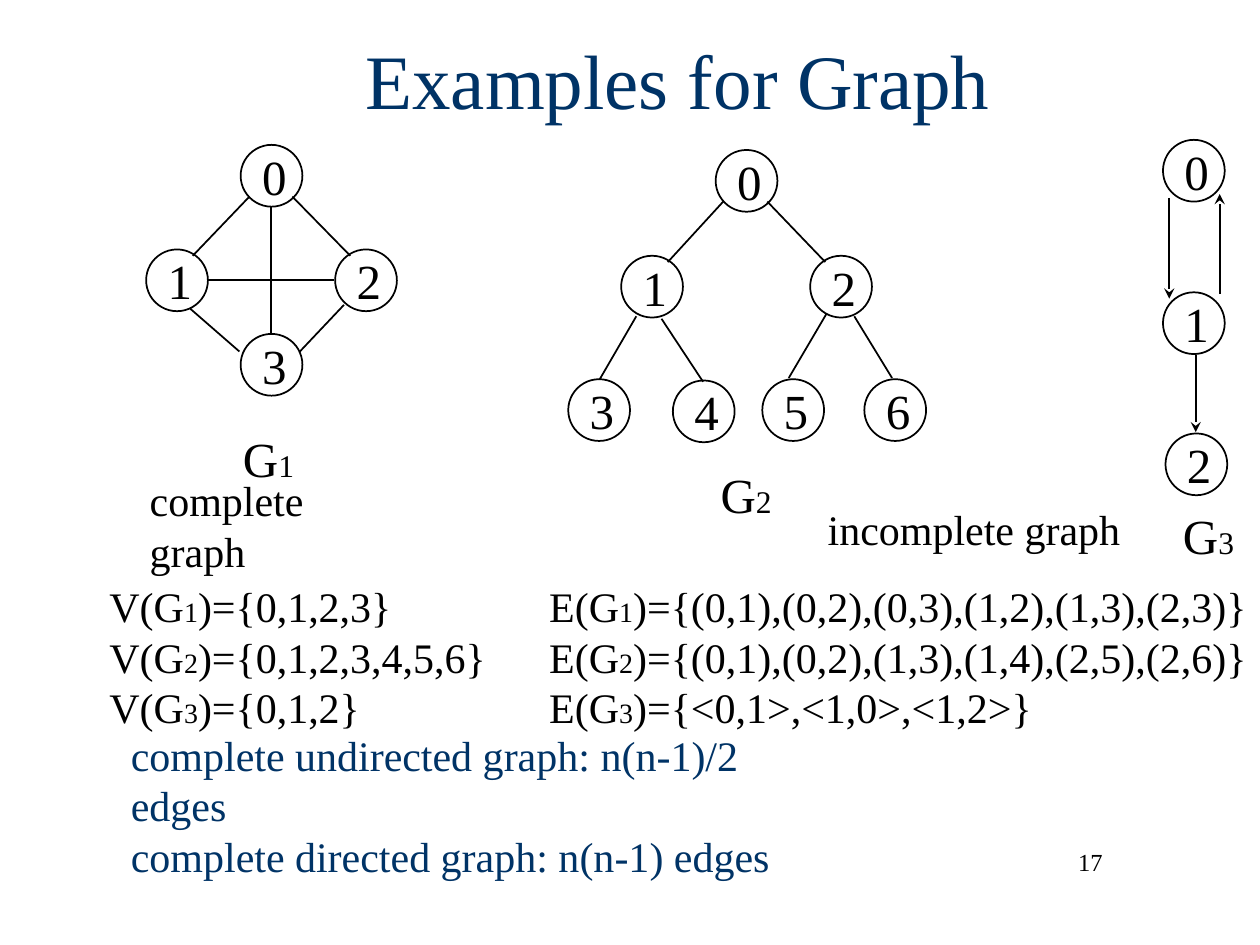
from lxml.etree import SubElement
from pptx import Presentation
from pptx.dml.color import RGBColor
from pptx.enum.shapes import MSO_CONNECTOR, MSO_SHAPE
from pptx.enum.text import MSO_ANCHOR, PP_ALIGN
from pptx.oxml.ns import qn
from pptx.util import Inches, Pt

COLORS = {"ink": "000000", "navy": "003366", "paper": "FFFFFF"}
FONT = "Times New Roman"
COLUMNS, ROWS = 100, 75
NODE_SIZE = 4.9


class GraphSlide:
    """Places elements on a grid of COLUMNS by ROWS square cells."""

    def __init__(self, presentation):
        self.slide = presentation.slides.add_slide(presentation.slide_layouts[6])
        self.cell_width = presentation.slide_width / COLUMNS
        self.cell_height = presentation.slide_height / ROWS

    def place(self, column, row):
        return round(column * self.cell_width), round(row * self.cell_height)

    def color(self, name):
        return RGBColor.from_string(COLORS[name])

    def set_lines(self, shape, lines, size, color="ink", small=None, tab=None,
                  align=PP_ALIGN.LEFT, **frame_format):
        """Fill a shape with lines; parts between underscores are set small."""
        frame = shape.text_frame
        for name, value in {"word_wrap": False, **frame_format}.items():
            setattr(frame, name, value)
        for index, line in enumerate(lines):
            paragraph = frame.paragraphs[0] if index == 0 else frame.add_paragraph()
            paragraph.alignment = align
            if tab:
                tabs = SubElement(paragraph._p.get_or_add_pPr(), qn("a:tabLst"))
                SubElement(tabs, qn("a:tab"), pos=str(self.place(tab, 0)[0]), algn="l")
            for part, text in enumerate(line.split("_")):
                if not text:
                    continue
                run = paragraph.add_run()
                run.text = text
                font_format = {"name": FONT, "size": Pt(small if part % 2 else size)}
                for name, value in font_format.items():
                    setattr(run.font, name, value)
                run.font.color.rgb = self.color(color)

    def text(self, column, row, width, height, lines, size, **style):
        box = self.slide.shapes.add_textbox(
            *self.place(column, row), *self.place(width, height))
        self.set_lines(box, lines, size, **style)

    def node(self, column, row, label):
        circle = self.slide.shapes.add_shape(
            MSO_SHAPE.OVAL, *self.place(column, row), *self.place(NODE_SIZE, NODE_SIZE))
        circle.shadow.inherit = False
        circle.fill.solid()
        circle.fill.fore_color.rgb = self.color("paper")
        circle.line.color.rgb = self.color("ink")
        circle.line.width = Pt(1)
        self.set_lines(circle, [label], 28, vertical_anchor=MSO_ANCHOR.MIDDLE)

    def edge(self, start, end, directed):
        connector = self.slide.shapes.add_connector(
            MSO_CONNECTOR.STRAIGHT, *self.place(*start), *self.place(*end))
        connector.line.color.rgb = self.color("ink")
        connector.line.width = Pt(1)
        if directed:
            SubElement(connector.line._get_or_add_ln(), qn("a:tailEnd"), type="stealth")
        SubElement(connector._element.spPr, qn("a:effectLst"))

    def graph(self, number, label_at, nodes, edges, directed=False):
        for label, (column, row) in enumerate(nodes):
            self.node(column, row, str(label))
        for start, end in edges:
            self.edge(start, end, directed)
        self.text(*label_at, 6.1, 5.7, [f"G_{number}_"], 28, small=18)


# Each graph: label position, node corners, edge ends, in grid cells
GRAPHS = [
    {"label_at": (18.3, 33.5),
     "nodes": [(19.1, 11.5), (11.6, 19.8), (26.6, 19.8), (19.1, 26.5)],
     "edges": [((21.5, 16.4), (21.5, 26.4)), ((16.5, 22.2), (26.5, 22.2)),
               ((19.8, 15.6), (15.3, 20.3)), ((23.2, 15.6), (27.8, 20.3)),
               ((15.1, 24.5), (19, 27.9)), ((27.3, 24.2), (23.8, 27.9))]},
    {"label_at": (56.2, 36.4),
     "nodes": [(56.8, 11.9), (49.3, 20.3), (64.3, 20.3), (45.1, 30.1),
               (53.4, 30.2), (60.5, 30.1), (68.6, 30.1)],
     "edges": [((57.4, 16), (53, 20.8)), ((60.9, 16), (65.5, 20.8)),
               ((50.5, 25.1), (47.6, 30.1)), ((52.5, 25.3), (55.8, 30.3)),
               ((65.6, 24.9), (62.6, 30)), ((67.8, 25.1), (70.8, 30))]},
    {"label_at": (92.9, 39.6), "directed": True,
     "nodes": [(92.3, 11.1), (92.3, 23.2), (92.5, 34.4)],
     "edges": [((94.9, 28.2), (94.9, 34.3)), ((96.8, 23.3), (96.8, 15.4)),
               ((92.8, 15.7), (92.8, 23.7))]},
]

SETS = [
    "V(G_1_)={0,1,2,3}\tE(G_1_)={(0,1),(0,2),(0,3),(1,2),(1,3),(2,3)}",
    "V(G_2_)={0,1,2,3,4,5,6}\tE(G_2_)={(0,1),(0,2),(1,3),(1,4),(2,5),(2,6)}",
    "V(G_3_)={0,1,2}\tE(G_3_)={<0,1>,<1,0>,<1,2>}",
]
EDGE_COUNTS = ["complete undirected graph: n(n-1)/2 edges",
               "complete directed graph: n(n-1) edges"]


def main():
    presentation = Presentation()
    presentation.slide_width, presentation.slide_height = Inches(10), Inches(7.5)
    page = GraphSlide(presentation)
    middle = {"vertical_anchor": MSO_ANCHOR.MIDDLE}

    # Title and page number
    page.text(7.6, 0, 92.4, 12.5, ["Examples for Graph"], 44, color="navy",
              align=PP_ALIGN.CENTER, word_wrap=True, **middle)
    page.text(67.7, 66.7, 20.8, 5, ["17"], 14, align=PP_ALIGN.RIGHT, word_wrap=True)

    # Graphs
    for number, graph in enumerate(GRAPHS, 1):
        page.graph(number, **graph)

    # Captions, vertex and edge sets, edge counts
    page.text(10.9, 39.2, 22.6, 5, ["complete graph"], 24, **middle)
    page.text(64.7, 39.5, 25.2, 5, ["incomplete graph"], 24, **middle)
    page.text(7.7, 45.6, 92.3, 13, SETS, 24, small=16, tab=34.9)
    page.text(9.4, 59.1, 57.5, 9.6, EDGE_COUNTS, 24, color="navy",
              word_wrap=True, **middle)

    presentation.save("out.pptx")


if __name__ == "__main__":
    main()
